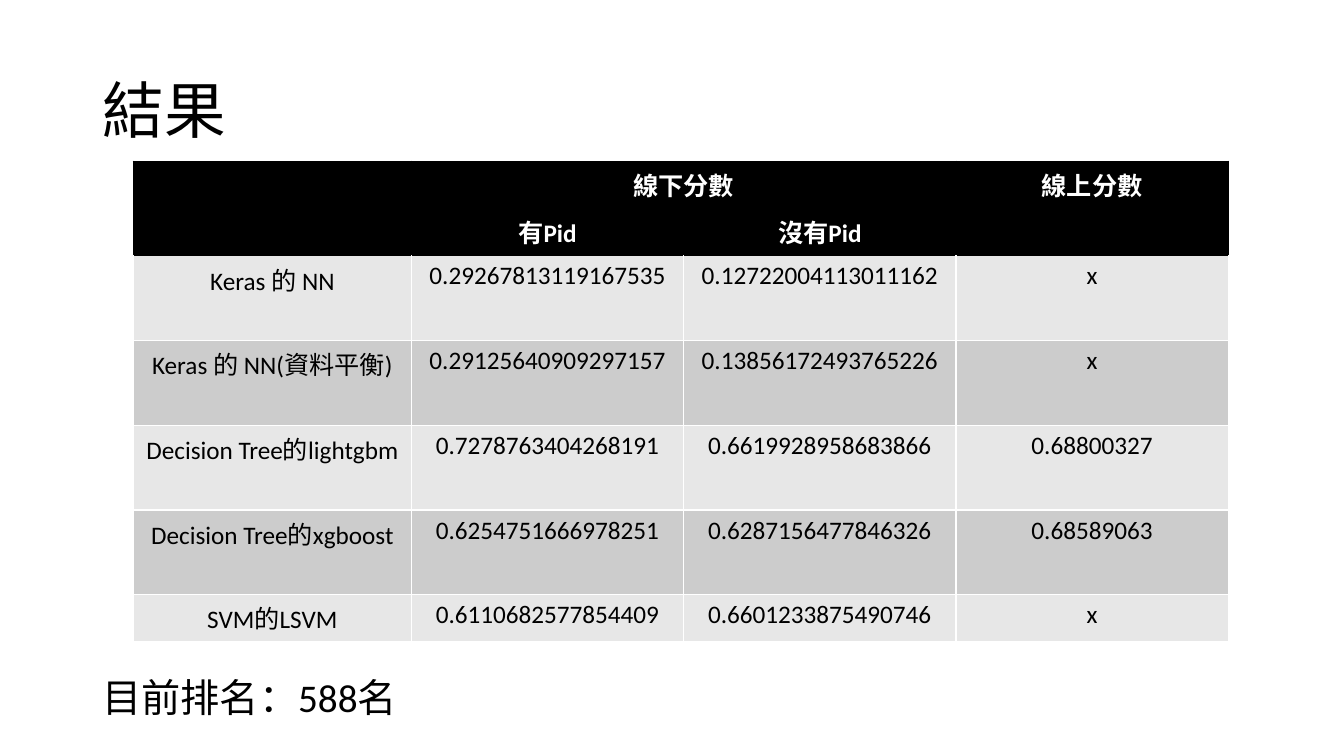
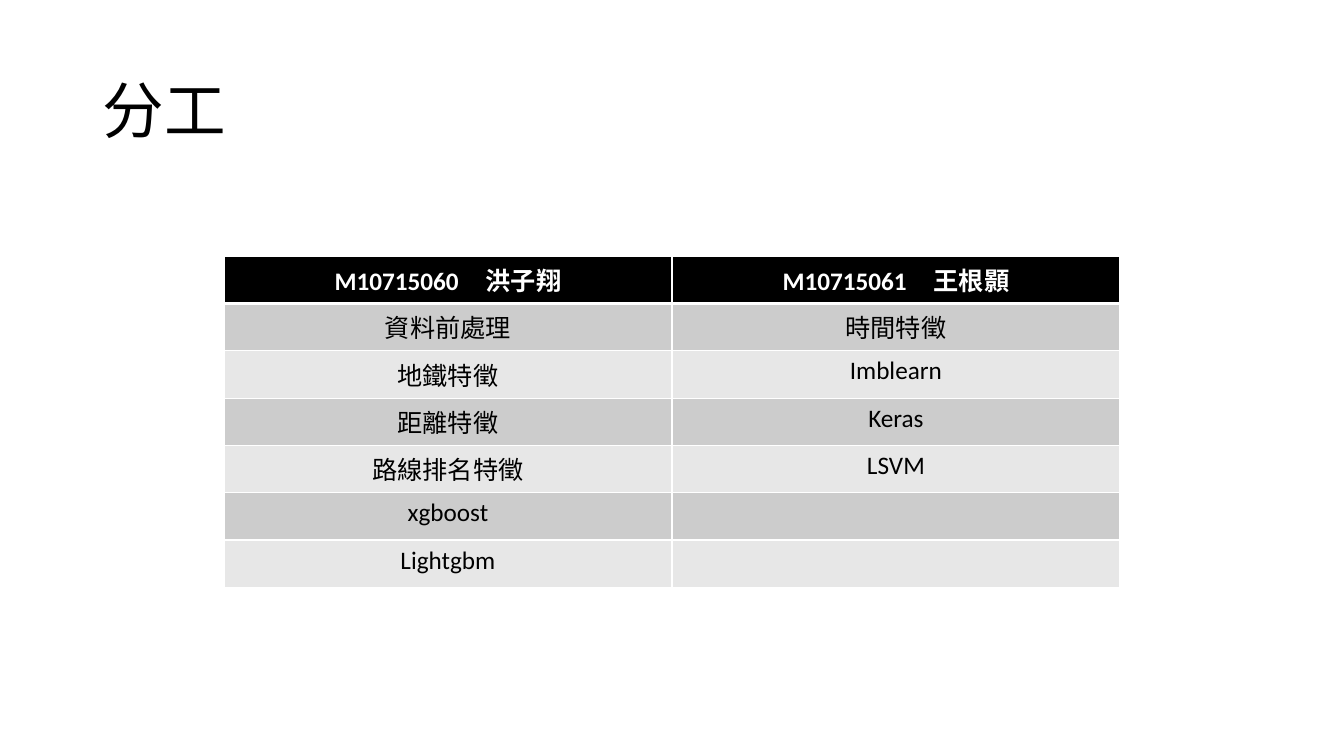
from lxml import etree
from pptx import Presentation
from pptx.dml.color import RGBColor
from pptx.enum.text import MSO_ANCHOR, MSO_AUTO_SIZE, PP_ALIGN
from pptx.oxml.ns import qn
from pptx.util import Pt

LEFT, CENTER = PP_ALIGN.LEFT, PP_ALIGN.CENTER
TOP, MIDDLE = MSO_ANCHOR.TOP, MSO_ANCHOR.MIDDLE
NO_AUTOFIT = MSO_AUTO_SIZE.NONE
CONTENT_LAYOUT, TITLE_LAYOUT = 1, 5

COLORS = {
    "black": "000000",
    "white": "FFFFFF",
    "light": "E7E7E7",
    "dark": "CCCCCC",
}


class Deck:
    font = "Calibri"
    margin = 66
    text_width = 828
    thin = 1

    def __init__(self):
        self.presentation = Presentation()
        self.presentation.slide_width = Pt(960)
        self.presentation.slide_height = Pt(540)
        self.slide = None

    def add_slide(self, title, layout):
        layouts = self.presentation.slide_layouts
        self.slide = self.presentation.slides.add_slide(layouts[layout])
        self.fill_placeholder(self.slide.shapes.title, title, 28.8, 104.4, 44, MIDDLE)

    def add_body(self, text, top, height):
        body = self.slide.placeholders[1]
        paragraph = self.fill_placeholder(body, text, top, height, 28, TOP)
        paragraph.space_before = Pt(10)
        properties = paragraph._p.get_or_add_pPr()
        properties.set("marL", "0")
        properties.set("indent", "0")
        etree.SubElement(properties, qn("a:buNone"))

    def fill_placeholder(self, shape, text, top, height, size, anchor):
        shape.left, shape.top = Pt(self.margin), Pt(top)
        shape.width, shape.height = Pt(self.text_width), Pt(height)
        frame = shape.text_frame
        frame.text = text
        frame.auto_size = NO_AUTOFIT
        frame.vertical_anchor = anchor
        paragraph = frame.paragraphs[0]
        paragraph.line_spacing = 0.9
        self.format_paragraph(paragraph, size, "black", LEFT)
        return paragraph

    def format_paragraph(self, paragraph, size, color, alignment, bold=False):
        paragraph.alignment = alignment
        for run in paragraph.runs:
            run.font.name = self.font
            run.font.size = Pt(size)
            run.font.bold = bold
            run.font.color.rgb = RGBColor.from_string(COLORS[color])

    def add_table(self, left, top, widths, heights, rows, bands,
                  header_rows=1, header_line="white", rule=1):
        frame = self.slide.shapes.add_table(
            len(rows), len(widths), Pt(left), Pt(top), Pt(sum(widths)), Pt(sum(heights)))
        table = frame.table
        table.first_row = table.horz_banding = False
        for column, width in zip(table.columns, widths):
            column.width = Pt(width)
        for index, (row, height, texts) in enumerate(zip(table.rows, heights, rows)):
            row.height = Pt(height)
            header = index < header_rows
            fill = "black" if header else bands[(index - header_rows) % 2]
            line = header_line if header else "white"
            top_edge = (header_line, rule) if index == header_rows else (line, self.thin)
            bottom_edge = (line, rule if index == header_rows - 1 else self.thin)
            edges = {"L": (line, self.thin), "R": (line, self.thin),
                     "T": top_edge, "B": bottom_edge}
            for cell, text in zip(row.cells, texts):
                cell.text_frame.text = text
                self.format_paragraph(cell.text_frame.paragraphs[0], 18,
                                      "white" if header else "black", CENTER, header)
                self.add_borders(cell, edges)
                cell.fill.solid()
                cell.fill.fore_color.rgb = RGBColor.from_string(COLORS[fill])
        return table

    def add_borders(self, cell, edges):
        properties = cell._tc.get_or_add_tcPr()
        for side, (color, width) in edges.items():
            line = etree.SubElement(properties, qn(f"a:ln{side}"), w=str(Pt(width)))
            solid = etree.SubElement(line, qn("a:solidFill"))
            etree.SubElement(solid, qn("a:srgbClr"), val=COLORS[color])


deck = Deck()

deck.add_slide("結果", CONTENT_LAYOUT)
deck.add_body("目前排名:588名".replace(":", "："), 481, 36.7)
score_rows = [
    ["", "線下分數", "", "線上分數"],
    ["", "有Pid", "沒有Pid", ""],
    ["Keras 的 NN", "0.29267813119167535", "0.12722004113011162", "x"],
    ["Keras 的 NN(資料平衡)", "0.29125640909297157", "0.13856172493765226", "x"],
    ["Decision Tree的lightgbm", "0.7278763404268191", "0.6619928958683866", "0.68800327"],
    ["Decision Tree的xgboost", "0.6254751666978251", "0.6287156477846326", "0.68589063"],
    ["SVM的LSVM", "0.6110682577854409", "0.6601233875490746", "x"],
]
scores = deck.add_table(
    95.2, 115.2, [198.7] + [194.5] * 3, [33.8] * 2 + [60.5] * 4 + [33.8],
    score_rows, ("light", "dark"), header_rows=2, header_line="black")
for first, last in [((0, 0), (1, 0)), ((0, 1), (0, 2)), ((0, 3), (1, 3))]:
    scores.cell(*first).merge(scores.cell(*last))

deck.add_slide("分工", TITLE_LAYOUT)
task_rows = [
    ["M10715060\t洪子翔", "M10715061\t王根顥"],
    ["資料前處理", "時間特徵"],
    ["地鐵特徵", "Imblearn"],
    ["距離特徵", "Keras"],
    ["路線排名特徵", "LSVM"],
    ["xgboost", ""],
    ["Lightgbm", ""],
]
deck.add_table(160, 183, [320] * 2, [33.8] * len(task_rows),
               task_rows, ("dark", "light"), rule=3)

deck.presentation.save("out.pptx")
